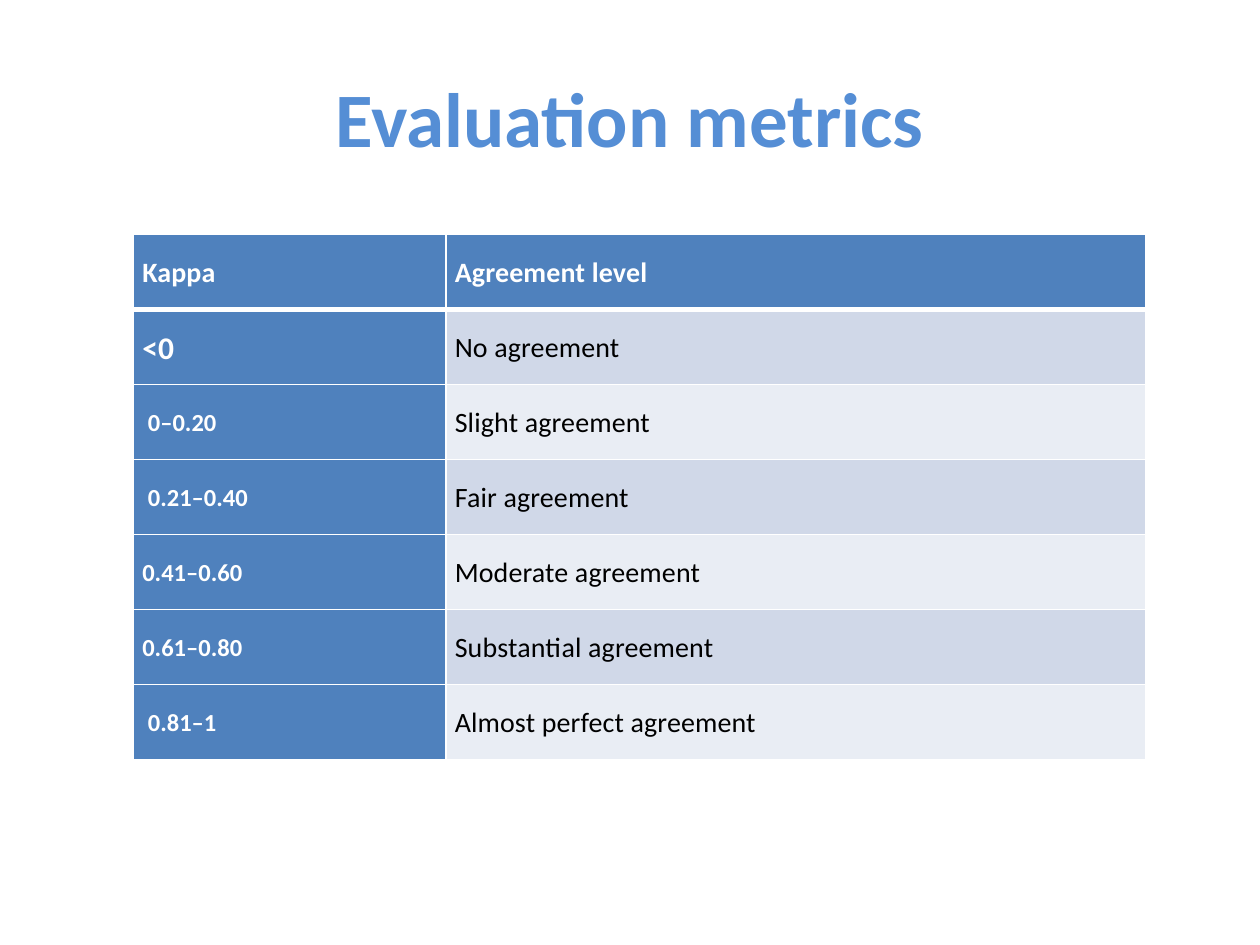
from dataclasses import dataclass

from lxml.etree import SubElement
from pptx import Presentation
from pptx.dml.color import RGBColor as Color
from pptx.enum.text import MSO_ANCHOR as Anchor, PP_ALIGN as Align
from pptx.oxml.ns import qn
from pptx.util import Inches, Pt


@dataclass(frozen=True)
class Theme:
    font: str = "Calibri"
    title: str = "558ED5"
    header: str = "4F81BD"
    bands: tuple = ("D0D8E8", "E9EDF4")
    light: str = "FFFFFF"
    dark: str = "000000"
    title_size: int = 44
    zero_size: int = 18
    body_size: int = 16
    range_size: int = 14
    thin: int = 1
    thick: int = 3


def style_run(run, size, color, bold):
    run.font.name = theme.font
    run.font.size = Pt(size)
    run.font.bold = bold
    run.font.color.rgb = Color.from_string(color)


def add_border(cell, side, width):
    line = SubElement(cell._tc.get_or_add_tcPr(), qn(f"a:{side}"), w=str(Pt(width)))
    fill = SubElement(line, qn("a:solidFill"))
    SubElement(fill, qn("a:srgbClr"), val=theme.light)


theme = Theme()
presentation = Presentation()
presentation.slide_width = Inches(10)
presentation.slide_height = Inches(7.5)
width, height = presentation.slide_width, presentation.slide_height
slide = presentation.slides.add_slide(presentation.slide_layouts[6])

title = slide.shapes.add_textbox(
    int(width * 0.05), int(height * 0.04), int(width * 0.9), Inches(1.25)
)
title.text_frame.word_wrap = True
title.text_frame.vertical_anchor = Anchor.MIDDLE
title.text_frame.text = "Evaluation metrics"
paragraph = title.text_frame.paragraphs[0]
paragraph.alignment = Align.CENTER
style_run(paragraph.runs[0], theme.title_size, theme.title, True)

agreement_rows = [
    ("Kappa", "Agreement level", theme.body_size),
    ("<0", "No agreement", theme.zero_size),
    (" 0–0.20 ", "Slight agreement", theme.range_size),
    (" 0.21–0.40", "Fair agreement", theme.range_size),
    ("0.41–0.60 ", "Moderate agreement", theme.range_size),
    ("0.61–0.80 ", "Substantial agreement", theme.range_size),
    (" 0.81–1", "Almost perfect agreement", theme.range_size),
]
column_widths = [Inches(2.48), Inches(5.55)]
table = slide.shapes.add_table(
    len(agreement_rows), len(column_widths),
    Inches(1.06), Inches(1.86), sum(column_widths), Inches(4.17),
).table
for column, column_width in zip(table.columns, column_widths):
    column.width = column_width

for row, (kappa, level, kappa_size) in enumerate(agreement_rows):
    for column, text in enumerate((kappa, level)):
        cell = table.cell(row, column)
        heading = row == 0 or column == 0
        size = kappa_size if column == 0 else theme.body_size
        cell.margin_left = cell.margin_right = Inches(0.07)
        cell.margin_top = cell.margin_bottom = 0
        cell.vertical_anchor = Anchor.MIDDLE
        for side in ("lnL", "lnR", "lnT", "lnB"):
            header_edge = (row, side) in ((0, "lnB"), (1, "lnT"))
            add_border(cell, side, theme.thick if header_edge else theme.thin)
        cell.fill.solid()
        fill_color = theme.header if heading else theme.bands[(row - 1) % 2]
        cell.fill.fore_color.rgb = Color.from_string(fill_color)
        cell.text_frame.text = text
        paragraph = cell.text_frame.paragraphs[0]
        paragraph.line_spacing = 1.07
        run = paragraph.runs[0]
        style_run(run, size, theme.light if heading else theme.dark, heading)
        if size != theme.range_size:
            run.font._element.set("spc", "10")

presentation.save("out.pptx")
